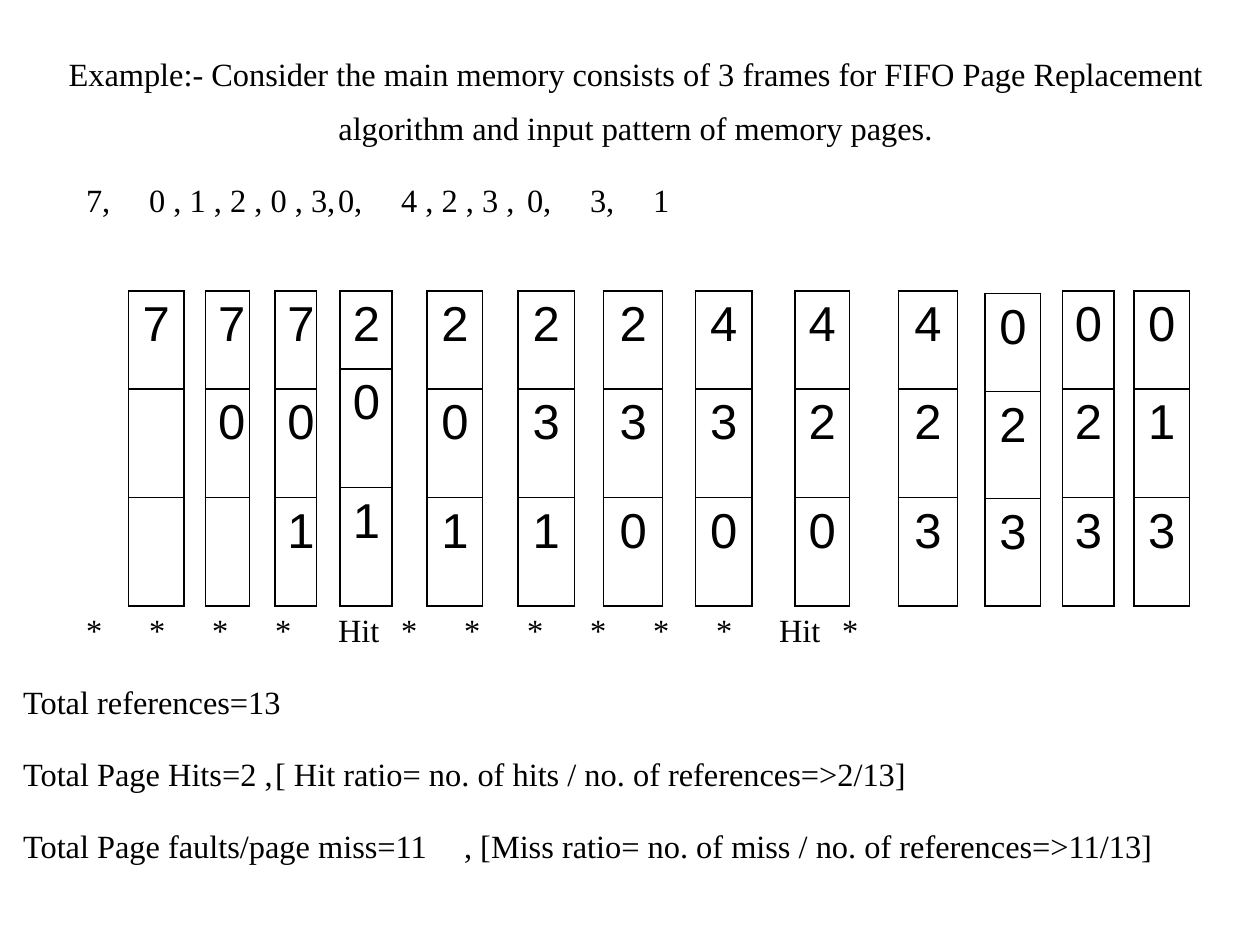
from pptx import Presentation
from pptx.dml.color import RGBColor
from pptx.enum.text import MSO_ANCHOR, MSO_AUTO_SIZE, PP_ALIGN
from pptx.oxml.ns import qn
from pptx.util import Pt
from lxml.etree import SubElement

THEME = {
    "ink": "000000",
    "text_font": "Times New Roman", "text_size": 18.5,
    "frame_font": "Arial", "frame_size": 28,
    "line_pitch": 31.3, "paragraph_gap": 9.8, "border": 1,
}
INK = RGBColor.from_string(THEME["ink"])

# Body lines: text, alignment, space before, tab stops (points from the text edge)
GAP = THEME["paragraph_gap"]
FAULT, HIT = "*", "Hit"
MARKS = [FAULT] * 4 + [HIT] + [FAULT] * 6 + [HIT, FAULT]
MARK_STOPS = [60, 107, 148, 181, 222.5, 287.5, 334, 384.5, 440, 481.5, 542.5, 583.5, 630.5]
LINES = [
    ("Example:- Consider the main memory consists of 3 frames for FIFO Page Replacement "
     "algorithm and input pattern of memory pages.", PP_ALIGN.CENTER, 0, []),
    ("\t7,\t0 , 1 , 2 , 0 , 3,\t0,\t4 , 2 , 3 ,\t0,\t3,\t1", PP_ALIGN.LEFT, GAP,
     [144, 172, 292, 319.5, 394, 417, 440.5]),
    ("\t" + "\t".join(MARKS), PP_ALIGN.LEFT, 214.4, MARK_STOPS),
    ("Total references=13", PP_ALIGN.LEFT, GAP, []),
    ("Total Page Hits=2 ,\t[ Hit ratio= no. of hits / no. of references=>2/13]",
     PP_ALIGN.LEFT, GAP, [161]),
    ("Total Page faults/page miss=11\t, [Miss ratio= no. of miss / no. of references=>11/13]",
     PP_ALIGN.LEFT, GAP, [240]),
]

# Memory states: pages in the three frames, left edge, width
STATES = [
    ("7", 73.4, 31.7), ("70", 117.4, 25.2), ("701", 157, 23.8), ("201", 194.4, 29.5),
    ("201", 244.1, 31.7), ("231", 295.9, 32.4), ("230", 344.9, 33.8), ("430", 397.4, 32.4),
    ("420", 454.3, 31), ("423", 513.4, 33.8), ("023", 563, 31.7), ("023", 607, 29.5),
    ("013", 648, 31.7),
]
FRAMES_TOP = 166.3
ROW_HEIGHTS = [56, 62, 62]
SPECIAL_TOPS = {10: 167.7}
SPECIAL_ROWS = {3: [44.6, 67.7, 67.7], 10: [56, 61.3, 61.3]}


def format_line(paragraph, text, alignment, gap, stops):
    properties = paragraph._p.get_or_add_pPr()
    properties.set("marL", "0")
    properties.set("indent", "0")
    SubElement(properties, qn("a:buNone"))
    if stops:
        tab_list = SubElement(properties, qn("a:tabLst"))
        for stop in stops:
            SubElement(tab_list, qn("a:tab"), pos=str(Pt(stop)), algn="l")
    paragraph.text = text
    paragraph.alignment = alignment
    paragraph.line_spacing = Pt(THEME["line_pitch"])
    paragraph.space_before = Pt(gap)
    set_font(paragraph, THEME["text_font"], THEME["text_size"])


def set_font(paragraph, name, size):
    paragraph.font.name = name
    paragraph.font.size = Pt(size)
    paragraph.font.color.rgb = INK


def add_borders(cell):
    properties = cell._tc.get_or_add_tcPr()
    for position, side in enumerate(("lnL", "lnR", "lnT", "lnB")):
        line = properties.makeelement(qn("a:" + side), {"w": str(Pt(THEME["border"]))})
        fill = SubElement(line, qn("a:solidFill"))
        SubElement(fill, qn("a:srgbClr"), val=THEME["ink"])
        properties.insert(position, line)


def add_state(slide, pages, left, width, top, heights):
    frame = slide.shapes.add_table(len(heights), 1, Pt(left), Pt(top), Pt(width), Pt(sum(heights)))
    table = frame.table
    table.first_row = False
    table.horz_banding = False
    for index, height in enumerate(heights):
        table.rows[index].height = Pt(height)
        cell = table.cell(index, 0)
        cell.fill.background()
        cell.vertical_anchor = MSO_ANCHOR.TOP
        add_borders(cell)
        paragraph = cell.text_frame.paragraphs[0]
        paragraph.text = pages[index:index + 1]
        paragraph.alignment = PP_ALIGN.CENTER
        set_font(paragraph, THEME["frame_font"], THEME["frame_size"])


def main():
    presentation = Presentation()
    presentation.slide_width, presentation.slide_height = Pt(720), Pt(540)
    slide = presentation.slides.add_slide(presentation.slide_layouts[1])
    title = slide.shapes.title
    title.element.getparent().remove(title.element)

    # Question, reference string, marks and totals
    body = slide.placeholders[1]
    body.left, body.top, body.width, body.height = Pt(6), Pt(18), Pt(714), Pt(507)
    text_frame = body.text_frame
    text_frame.auto_size = MSO_AUTO_SIZE.NONE
    text_frame.word_wrap = True
    for index, line in enumerate(LINES):
        paragraph = text_frame.add_paragraph() if index else text_frame.paragraphs[0]
        format_line(paragraph, *line)

    # Frame contents after each reference
    for index, (pages, left, width) in enumerate(STATES):
        add_state(slide, pages, left, width, SPECIAL_TOPS.get(index, FRAMES_TOP),
                  SPECIAL_ROWS.get(index, ROW_HEIGHTS))

    presentation.save("out.pptx")


if __name__ == "__main__":
    main()
